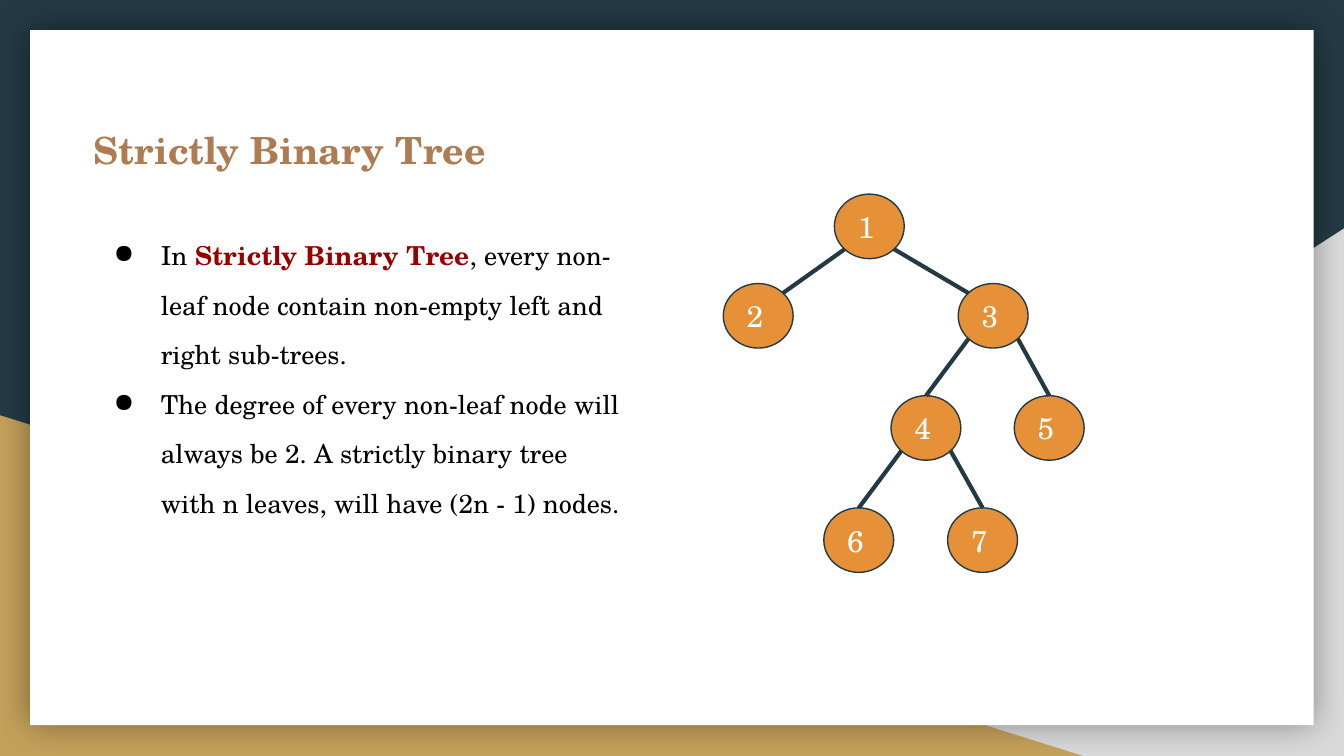
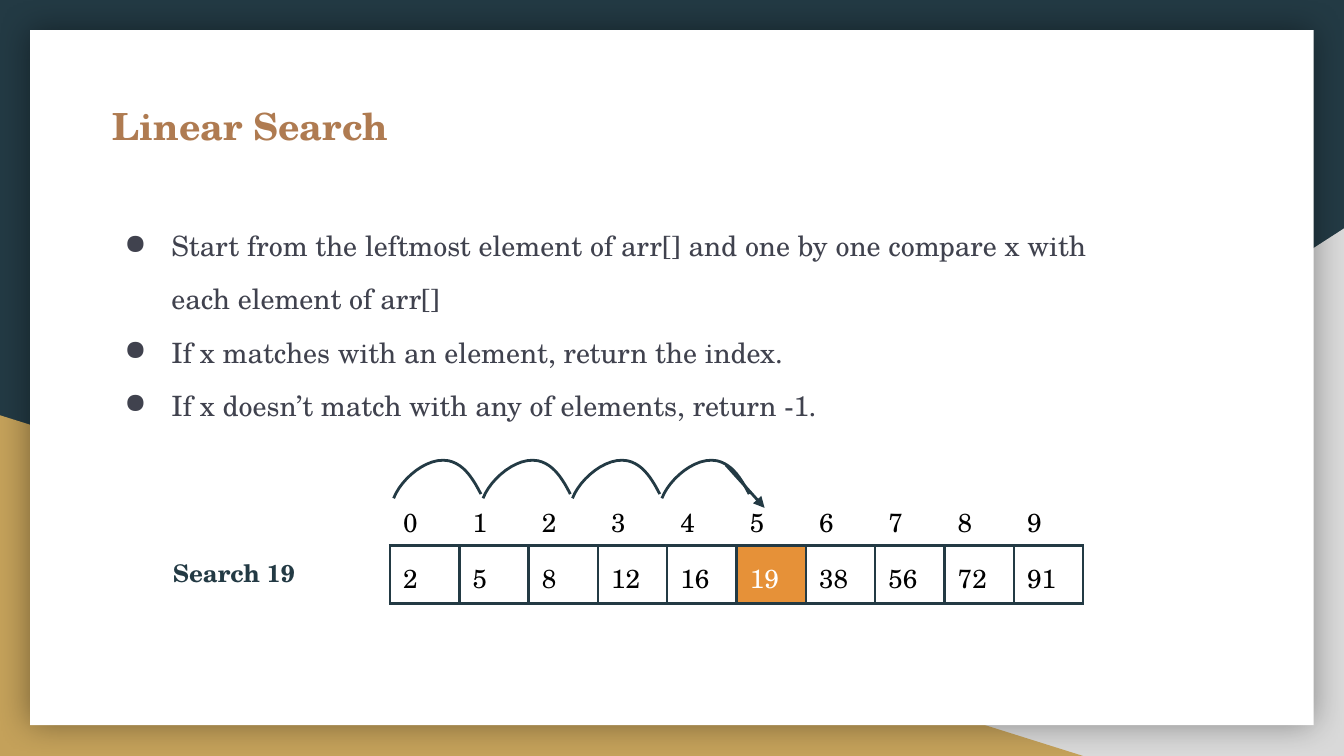
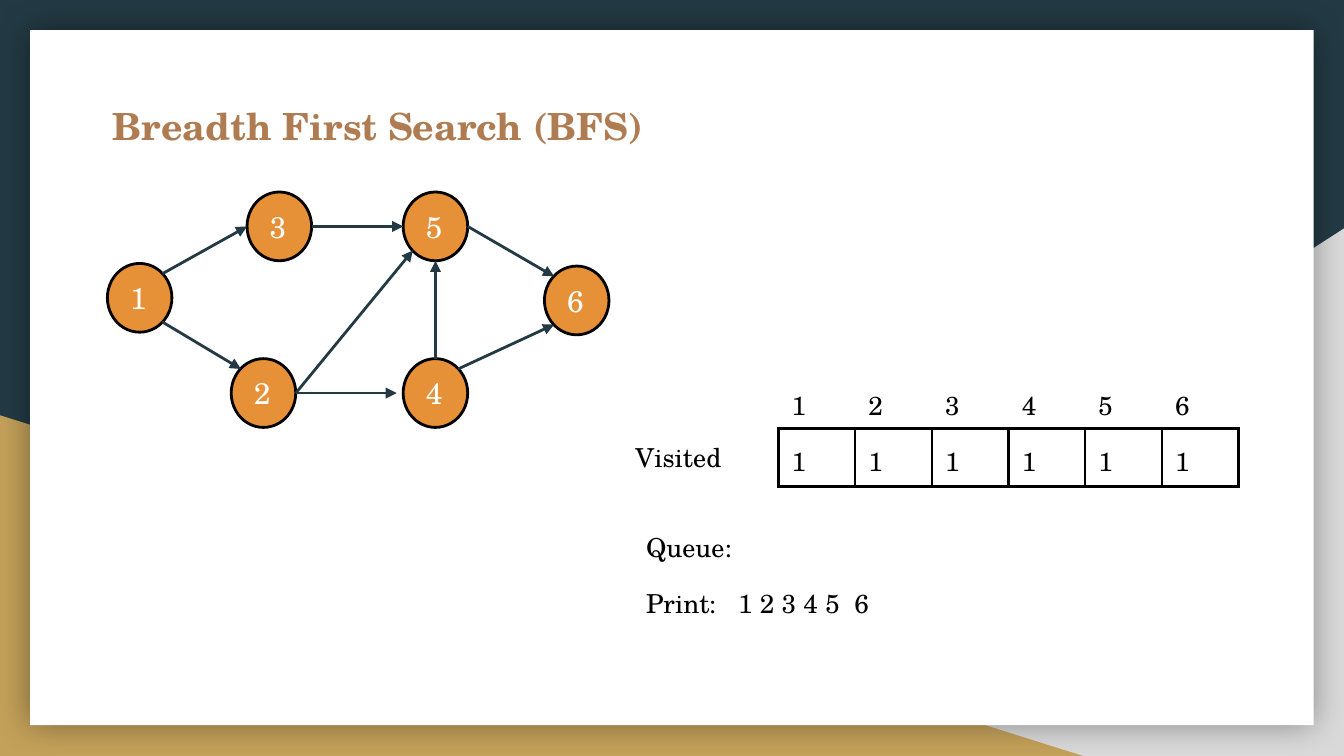
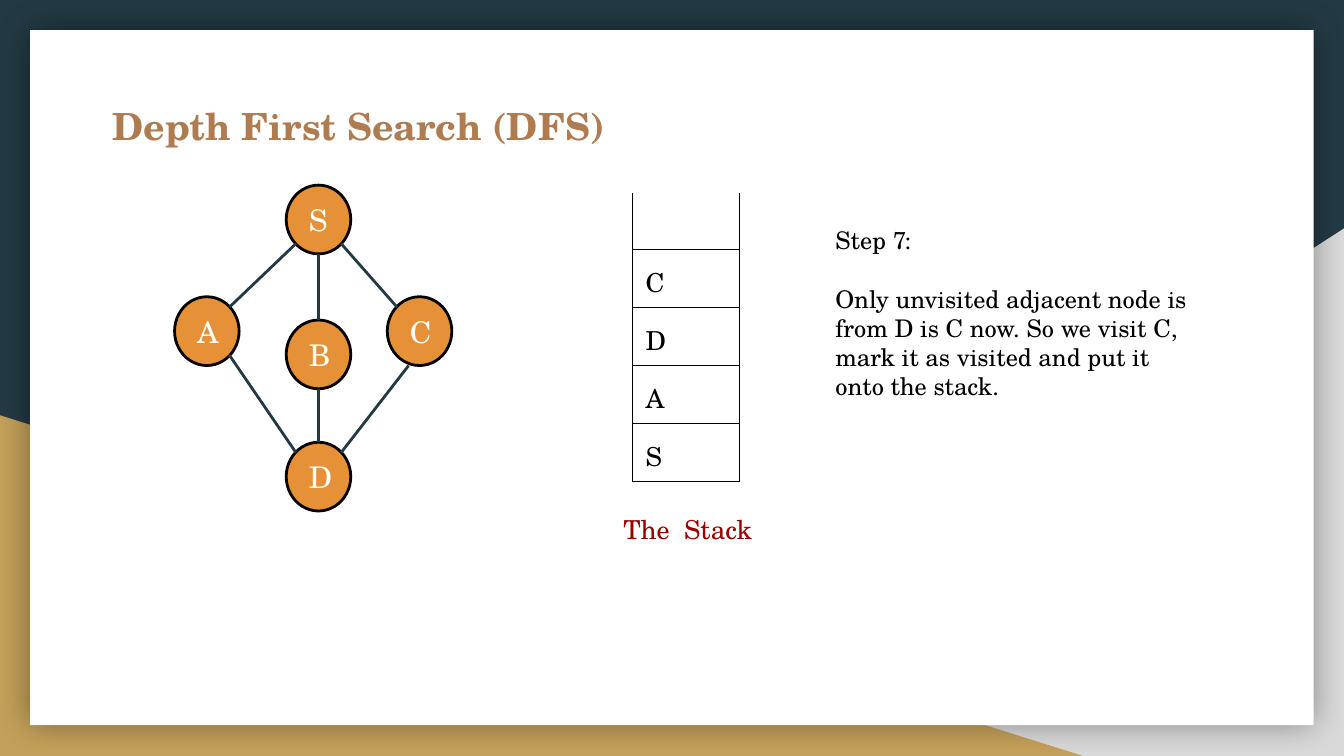
from lxml.etree import SubElement, Element
from pptx import Presentation
from pptx.dml.color import RGBColor
from pptx.enum.shapes import MSO_CONNECTOR as Link, MSO_SHAPE as Shape
from pptx.enum.text import MSO_ANCHOR as Anchor
from pptx.oxml.ns import qn
from pptx.util import Cm, Pt

FONT = "TeX Gyre Schola"
NAVY, GREY, GOLD, WHITE, BLACK = "233A44", "D9D9D9", "C4A15A", "FFFFFF", "000000"
ORANGE, BROWN, RED, SLATE = "E69138", "AF7B51", "980000", "40424E"
INSET = 0.25

# All places and sizes are in centimetres: left, top, width, height.
TITLE_BOX = (1.88, 1.7, 21.95, 0.71)
TITLE_FORMAT = {"size": Pt(20), "bold": True, "color": BROWN}

TREE = {
    "size": (1.32, 1.22), "outline": (NAVY, 0.75), "edge_width": 2.25, "arrow": False,
    "nodes": {"1": (15.77, 3.67), "2": (13.67, 5.36), "3": (18.11, 5.36),
              "4": (16.84, 7.48), "5": (19.17, 7.48),
              "6": (15.57, 9.6), "7": (17.91, 9.6)},
    "edges": ["1 sw 2 ne", "1 se 3 nw", "3 sw 4 n", "3 se 5 n", "4 sw 6 n", "4 se 7 n"],
}
BFS_GRAPH = {
    "size": (1.22, 1.3), "outline": (BLACK, 1.5), "edge_width": 1.5, "arrow": True,
    "nodes": {"1": (2.03, 4.98), "3": (4.67, 3.63), "5": (7.62, 3.63),
              "2": (4.37, 6.78), "4": (7.62, 6.78), "6": (10.29, 5.03)},
    "edges": ["1 ne 3 w", "1 se 2 nw", "3 e 5 w", "2 e 4 before_w", "2 e 5 sw",
              "4 n 5 s", "4 ne 6 sw", "5 e 6 nw"],
}
DFS_GRAPH = {
    "size": (1.22, 1.3), "outline": (BLACK, 1.5), "edge_width": 1.5, "arrow": False,
    "nodes": {"S": (5.41, 3.5), "A": (3.3, 5.61), "C": (7.32, 5.61),
              "B": (5.41, 6.05), "D": (5.41, 8.36)},
    "edges": ["S sw A ne", "S se C nw", "S s B n", "B s D n", "A se D nw", "C ssw D ne"],
}
# Where an edge may touch a node, as shares of the node's width and height.
SITES = {"n": (0.5, 0), "ne": (0.85, 0.15), "e": (1, 0.5), "se": (0.85, 0.85),
         "s": (0.5, 1), "ssw": (0.33, 1), "sw": (0.15, 0.85), "w": (0, 0.5),
         "nw": (0.15, 0.15), "before_w": (-0.1, 0.5)}

TREE_POINTS = [
    [("In ", {}), ("Strictly Binary Tree", {"bold": True, "color": RED}),
     (", every non-leaf node contain non-empty left and right sub-trees.", {})],
    "The degree of every non-leaf node will always be 2. A strictly binary tree "
    "with n leaves, will have (2n - 1) nodes.",
]
SEARCH_POINTS = [
    "Start from the leftmost element of arr[] and one by one compare x with "
    "each element of arr[]",
    "If x matches with an element, return the index.",
    "If x doesn’t match with any of elements, return -1.",
]
STEP_TEXT = [
    "Step 7:",
    "Only unvisited adjacent node is from D is C now. So we visit C, mark it as "
    "visited and put it onto the stack.",
]
SEARCH_VALUES = [2, 5, 8, 12, 16, 19, 38, 56, 72, 91]
FOUND = 5
STACK = ["", "C", "D", "A", "S"]

HOP_START, HOP_PITCH, HOP_COUNT = (7.44, 9.42), 1.69, 4
HOP_CURVES = [
    [(0, 0), (0.15, -0.38), (0.64, -0.79), (1.04, -0.71)],
    [(1.04, -0.71), (1.35, -0.64), (1.52, -0.33), (1.65, -0.08)],
]


def rgb(color):
    return RGBColor.from_string(color)


def cm(values):
    return [Cm(value) for value in values]


def paint(shape, fill=None, line=None):
    """Fill a shape and draw its outline, a (colour, points) pair."""
    shape.shadow.inherit = False
    if fill:
        shape.fill.solid()
        shape.fill.fore_color.rgb = rgb(fill)
    else:
        shape.fill.background()
    if line:
        shape.line.color.rgb, shape.line.width = rgb(line[0]), Pt(line[1])
    else:
        shape.line.fill.background()


def add_span(para, text, **formats):
    span = para.add_run()
    span.text = text
    values = {"name": FONT, "size": Pt(14), "bold": False, "color": BLACK} | formats
    span.font.color.rgb = rgb(values.pop("color"))
    for name, value in values.items():
        setattr(span.font, name, value)


def set_insets(holder):
    for side in ("left", "top", "right", "bottom"):
        setattr(holder, f"margin_{side}", Cm(INSET))


def add_bullet(para, color, indent):
    props = para._p.get_or_add_pPr()
    props.set("marL", str(Cm(indent)))
    props.set("indent", str(Cm(-0.89)))
    SubElement(SubElement(props, qn("a:buClr")), qn("a:srgbClr"), val=color)
    SubElement(props, qn("a:buChar"), char="●")


def add_tabs(para, stops):
    tabs = SubElement(para._p.get_or_add_pPr(), qn("a:tabLst"))
    for stop in stops:
        SubElement(tabs, qn("a:tab"), pos=str(Cm(stop)), algn="l")


def add_text(page, place, paras, spacing=None, gap=None, bullet=None, tabs=(), **formats):
    """Add a text box; each paragraph is a string or a list of (text, formats)."""
    frame = page.shapes.add_textbox(*cm(place)).text_frame
    frame.word_wrap = True
    set_insets(frame)
    for number, spans in enumerate(paras):
        para = frame.add_paragraph() if number else frame.paragraphs[0]
        if spacing:
            para.line_spacing = spacing
        if gap and number:
            para.space_before = Pt(gap)
        if bullet:
            add_bullet(para, *bullet)
        if tabs:
            add_tabs(para, tabs)
        for text, own in [(spans, {})] if isinstance(spans, str) else spans:
            add_span(para, text, **(formats | own))


def add_line(page, start, end, width, arrow=False):
    line = page.shapes.add_connector(Link.STRAIGHT, *cm(start + end))
    line.line.color.rgb, line.line.width = rgb(NAVY), Pt(width)
    props = line._element.spPr
    if arrow:
        SubElement(props.find(qn("a:ln")), qn("a:tailEnd"), type="triangle")
    SubElement(props, qn("a:effectLst"))


def add_graph(page, graph):
    """Draw round nodes and the edges between their sites."""
    width, height = graph["size"]

    def site(node, name):
        (left, top), (across, down) = graph["nodes"][node], SITES[name]
        return left + across * width, top + down * height

    for label, place in graph["nodes"].items():
        node = page.shapes.add_shape(Shape.OVAL, *cm(place + graph["size"]))
        paint(node, ORANGE, graph["outline"])
        frame = node.text_frame
        frame.word_wrap, frame.vertical_anchor = True, Anchor.MIDDLE
        set_insets(frame)
        para = frame.paragraphs[0]
        para.alignment = 1
        add_span(para, label, size=Pt(16), color=WHITE)
    for edge in graph["edges"]:
        tail, leave, head, reach = edge.split()
        add_line(page, site(tail, leave), site(head, reach), graph["edge_width"], graph["arrow"])


def set_borders(cell, border, open_sides):
    props = cell._tc.get_or_add_tcPr()
    for position, side in enumerate("LRTB"):
        line = Element(qn(f"a:ln{side}"))
        if border and side not in open_sides:
            line.set("w", str(Pt(border[1])))
            SubElement(SubElement(line, qn("a:solidFill")), qn("a:srgbClr"), val=border[0])
        else:
            SubElement(line, qn("a:noFill"))
        props.insert(position, line)


def add_grid(page, place, rows, cell_size, border=None, marked=None, open_top=False):
    """Add a table of equal cells; marked is the column shown in orange."""
    width, height = cell_size
    size = (width * len(rows[0]), height * len(rows))
    table = page.shapes.add_table(len(rows), len(rows[0]), *cm(place + size)).table
    table.first_row = table.horz_banding = False
    for column in table.columns:
        column.width = Cm(width)
    for down, values in enumerate(rows):
        table.rows[down].height = Cm(height)
        for across, value in enumerate(values):
            cell = table.cell(down, across)
            hit = across == marked
            if hit:
                cell.fill.solid()
                cell.fill.fore_color.rgb = rgb(ORANGE)
            else:
                cell.fill.background()
            set_borders(cell, border, "T" if open_top and down == 0 else "")
            set_insets(cell)
            if value == "":
                cell.margin_top = cell.margin_bottom = 0
            else:
                add_span(cell.text_frame.paragraphs[0], str(value),
                         color=WHITE if hit else BLACK)


def curve_points(curve, steps=12):
    """Points along a cubic curve, without its first one."""
    for step in range(1, steps + 1):
        t = step / steps
        weights = ((1 - t) ** 3, 3 * t * (1 - t) ** 2, 3 * t * t * (1 - t), t ** 3)
        yield tuple(sum(w * point[axis] for w, point in zip(weights, curve)) for axis in (0, 1))


def add_hops(page):
    for number in range(HOP_COUNT):
        left, top = HOP_START[0] + number * HOP_PITCH, HOP_START[1]
        outline = page.shapes.build_freeform(Cm(left), Cm(top))
        points = [cm((left + x, top + y)) for curve in HOP_CURVES for x, y in curve_points(curve)]
        outline.add_line_segments(points, close=False)
        paint(outline.convert_to_shape(), line=(NAVY, 1.5))


def add_page(deck, title, place=TITLE_BOX, spacing=None):
    """Add a page with the shared backdrop, white card and title."""
    page = deck.slides.add_slide(deck.slide_layouts[6])
    backdrop = [(Shape.RIGHT_TRIANGLE, (9.96, 4.32, 15.44, 9.97), GREY),
                (Shape.RIGHT_TRIANGLE, (0, 7.85, 20.47, 6.44), GOLD),
                (Shape.RECTANGLE, (0.57, 0.57, 24.26, 13.14), WHITE)]
    parts = []
    for kind, spot, color in backdrop:
        part = page.shapes.add_shape(kind, *cm(spot))
        paint(part, color)
        parts.append(part)
    parts[0]._element.spPr.find(qn("a:xfrm")).set("flipH", "1")
    effects = parts[2]._element.spPr.find(qn("a:effectLst"))
    shadow = SubElement(effects, qn("a:outerShdw"), blurRad=str(Pt(18)), dist="0",
                        algn="ctr", rotWithShape="0")
    tint = SubElement(shadow, qn("a:srgbClr"), val=BLACK)
    SubElement(tint, qn("a:alpha"), val="40000")
    add_text(page, place, [title], spacing, **TITLE_FORMAT)
    return page


def add_tree_page(deck):
    page = add_page(deck, "Strictly Binary Tree", (1.52, 1.55, 8.48, 1.22), 1.71)
    add_graph(page, TREE)
    add_text(page, (1.52, 3.94, 10.59, 8.05), TREE_POINTS, 1.58, bullet=(BLACK, 1.27))


def add_search_page(deck):
    page = add_page(deck, "Linear Search")
    add_text(page, (1.09, 3.71, 20.22, 3.2), SEARCH_POINTS, 1.58, bullet=(SLATE, 1.9),
             size=Pt(15), color=SLATE)
    cell_size = (1.31, 0.79)
    add_grid(page, (7.37, 10.31), [SEARCH_VALUES], cell_size, (NAVY, 1.5), FOUND)
    add_grid(page, (7.37, 9.25), [range(len(SEARCH_VALUES))], cell_size)
    add_text(page, (3.02, 10.31, 2.84, 0.71), ["Search 19"],
             size=Pt(13), bold=True, color=NAVY)
    add_hops(page)
    add_line(page, (13.72, 8.79), (14.45, 9.6), 1.5, arrow=True)


def add_bfs_page(deck):
    page = add_page(deck, "Breadth First Search (BFS)")
    add_graph(page, BFS_GRAPH)
    cell_size = (1.45, 1.07)
    add_grid(page, (14.71, 7.04), [range(1, 7)], cell_size)
    add_grid(page, (14.71, 8.1), [[1] * 6], cell_size, (BLACK, 1.5))
    add_text(page, (11.76, 8.1, 2.72, 0.71), ["Visited"])
    add_text(page, (11.96, 9.8, 6.73, 0.71), ["Queue:"])
    add_text(page, (11.96, 10.85, 8.89, 0.71), ["Print:\t1 2 3 4 5\t6"], tabs=(1.74, 3.94))


def add_dfs_page(deck):
    page = add_page(deck, "Depth First Search (DFS)")
    add_graph(page, DFS_GRAPH)
    add_grid(page, (11.95, 3.65), [[item] for item in STACK], (2.02, 1.07),
             (BLACK, 0.75), open_top=True)
    add_text(page, (11.53, 9.45, 6.12, 0.66), ["The\tStack"], tabs=(1.15,), color=RED)
    add_text(page, (15.54, 4.01, 7.34, 3.96), STEP_TEXT, gap=15.7, size=Pt(13))


def main():
    deck = Presentation()
    deck.slide_width, deck.slide_height = cm((25.4, 14.29))
    background = deck.slide_master.background.fill
    background.solid()
    background.fore_color.rgb = rgb(NAVY)
    for add in (add_tree_page, add_search_page, add_bfs_page, add_dfs_page):
        add(deck)
    deck.save("out.pptx")


if __name__ == "__main__":
    main()
